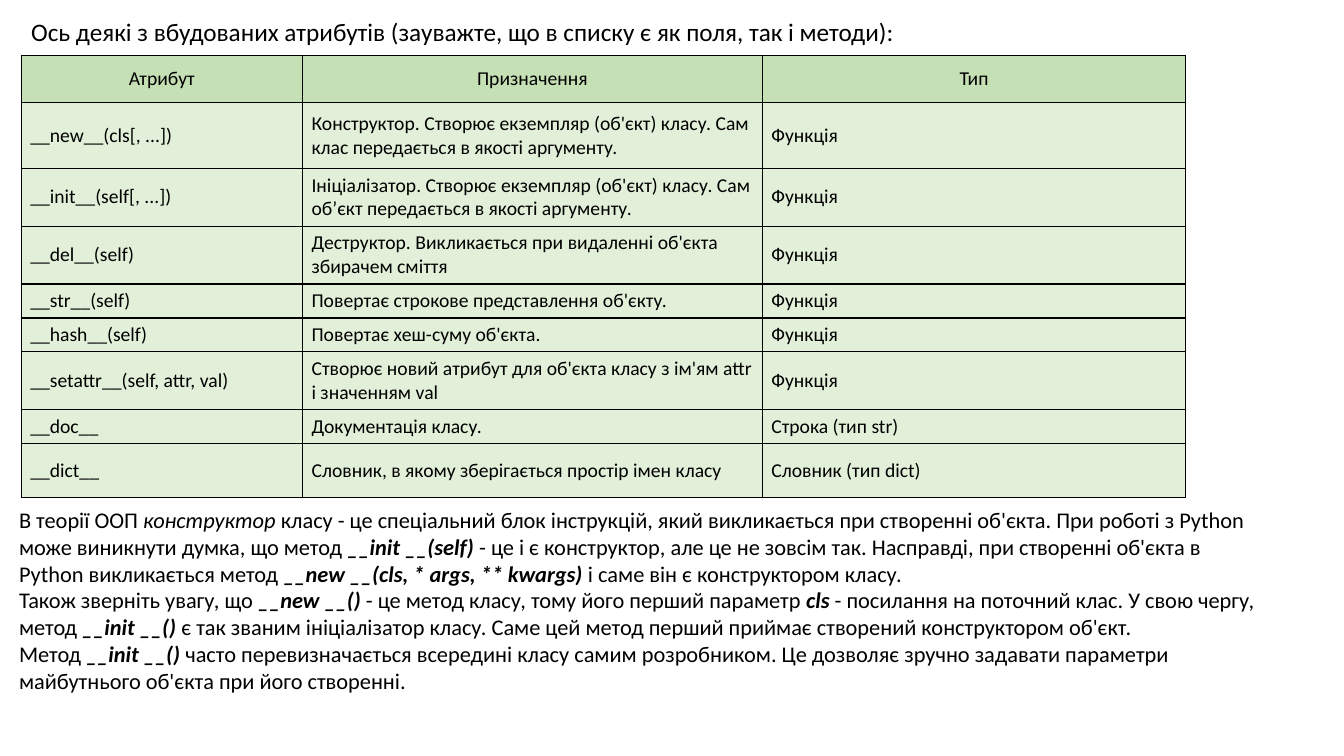
from dataclasses import dataclass
from typing import Any

from lxml.etree import SubElement
from pptx import Presentation
from pptx.dml.color import RGBColor as Rgb
from pptx.enum.text import MSO_ANCHOR as Anchor, MSO_AUTO_SIZE as AutoSize, PP_ALIGN as Align
from pptx.oxml.ns import qn
from pptx.util import Inches, Pt


@dataclass(frozen=True)
class Theme:
    """Colours and type sizes of the slide."""
    font: str = "Calibri"
    ink: str = "000000"
    header: str = "C5E0B4"
    body: str = "E2F0D9"
    intro_size: int = 18
    cell_size: int = 14
    theory_size: int = 16
    border: int = 1


@dataclass
class Page:
    """Places styled elements on a grid of 100 columns by 100 rows."""
    theme: Theme
    slide: Any
    width: int
    height: int

    def x(self, columns):
        """Convert grid columns to a length."""
        return round(self.width * columns / 100)

    def y(self, rows):
        """Convert grid rows to a length."""
        return round(self.height * rows / 100)

    def style(self, paragraph, size):
        """Set the shared font on a paragraph."""
        font = paragraph.font
        font.name, font.size = self.theme.font, Pt(size)
        font.color.rgb = Rgb.from_string(self.theme.ink)

    def text(self, left, top, width, height, paragraphs, size, spacing=None, auto_size=AutoSize.NONE):
        """Add a text box of paragraphs made of (text, emphasis) runs."""
        box = self.slide.shapes.add_textbox(self.x(left), self.y(top), self.x(width), self.y(height))
        frame = box.text_frame
        frame.word_wrap, frame.auto_size = True, auto_size
        for index, pieces in enumerate(paragraphs):
            paragraph = frame.add_paragraph() if index else frame.paragraphs[0]
            self.style(paragraph, size)
            paragraph.line_spacing = spacing
            for words, emphasis in pieces:
                run = paragraph.add_run()
                run.text = words
                if emphasis:
                    run.font.bold, run.font.italic = "b" in emphasis, "i" in emphasis

    def table(self, left, top, columns, rows, records):
        """Add a bordered table whose first record is the header."""
        table = self.slide.shapes.add_table(
            len(rows), len(columns), self.x(left), self.y(top), self.x(sum(columns)), self.y(sum(rows))).table
        for column, width in zip(table.columns, columns):
            column.width = self.x(width)
        for row, height in zip(table.rows, rows):
            row.height = self.y(height)
        for r, record in enumerate(records):
            for c, words in enumerate(record):
                self.cell(table.cell(r, c), words, is_header=r == 0)

    def cell(self, cell, words, is_header):
        """Fill, border and label one table cell."""
        cell.text = words
        cell.vertical_anchor = Anchor.MIDDLE
        cell.margin_left = cell.margin_right = Inches(0.09)
        cell.margin_top = cell.margin_bottom = Inches(0.05)
        label = cell.text_frame.paragraphs[0]
        label.alignment = Align.CENTER if is_header else Align.LEFT
        self.style(label, self.theme.cell_size)
        properties = cell._tc.get_or_add_tcPr()
        for side in ("a:lnL", "a:lnR", "a:lnT", "a:lnB"):
            line = SubElement(properties, qn(side), w=str(Pt(self.theme.border)))
            SubElement(SubElement(line, qn("a:solidFill")), qn("a:srgbClr"), val=self.theme.ink)
        cell.fill.solid()
        cell.fill.fore_color.rgb = Rgb.from_string(self.theme.header if is_header else self.theme.body)


INTRO = "Ось деякі з вбудованих атрибутів (зауважте, що в списку є як поля, так і методи):"

ATTRIBUTES = [
    ("Атрибут", "Призначення", "Тип"),
    ("__new__(cls[, ...])",
     "Конструктор. Створює екземпляр (об'єкт) класу. Сам клас передається в якості аргументу.", "Функція"),
    ("__init__(self[, ...])",
     "Ініціалізатор. Створює екземпляр (об'єкт) класу. Сам об’єкт передається в якості аргументу.", "Функція"),
    ("__del__(self)", "Деструктор. Викликається при видаленні об'єкта збирачем сміття", "Функція"),
    ("__str__(self)", "Повертає строкове представлення об'єкту.", "Функція"),
    ("__hash__(self)", "Повертає хеш-суму об'єкта.", "Функція"),
    ("__setattr__(self, attr, val)", "Створює новий атрибут для об'єкта класу з ім'ям attr і значенням val", "Функція"),
    ("__doc__", "Документація класу.", "Строка (тип str)"),
    ("__dict__", "Словник, в якому зберігається простір імен класу", "Словник (тип dict)"),
]

THEORY = [
    [("В теорії ООП ", ""), ("конструктор", "i"),
     (" класу - це спеціальний блок інструкцій, який викликається при створенні об'єкта. "
      "При роботі з Python може виникнути думка, що метод ", ""),
     ("__init __(self) ", "bi"),
     ("- це і є конструктор, але це не зовсім так. "
      "Насправді, при створенні об'єкта в Python викликається метод ", ""),
     ("__new __(cls, * args, ** kwargs) ", "bi"), ("і саме він є конструктором класу.", "")],
    [("Також зверніть увагу, що ", ""), ("__new __()", "bi"),
     (" - це метод класу, тому його перший параметр ", ""), ("cls", "bi"),
     (" - посилання на поточний клас. У свою чергу, метод ", ""), ("__init __() ", "bi"),
     ("є так званим ініціалізатор класу. Саме цей метод перший приймає створений конструктором об'єкт.", "")],
    [("Метод ", ""), ("__init __() ", "bi"),
     ("часто перевизначається всередині класу самим розробником. "
      "Це дозволяє зручно задавати параметри майбутнього об'єкта при його створенні.", "")],
]


def main():
    """Build and save the slide."""
    deck = Presentation()
    deck.slide_width, deck.slide_height = Inches(13.33), Inches(7.5)
    theme = Theme()
    page = Page(theme, deck.slides.add_slide(deck.slide_layouts[6]), deck.slide_width, deck.slide_height)
    page.text(1.58, 2, 95.65, 95.47, [[(INTRO, "")]], theme.intro_size, spacing=0.9)
    single, double = 4, 7.07
    row_heights = [6.27, 8.67, double, double, single, single, double, single, double]
    page.table(1.58, 7.33, [20.93, 34.21, 31.51], row_heights, ATTRIBUTES)
    page.text(0.68, 66.27, 94.6, 27.33, THEORY, theme.theory_size, auto_size=AutoSize.SHAPE_TO_FIT_TEXT)
    deck.save("out.pptx")


if __name__ == "__main__":
    main()
